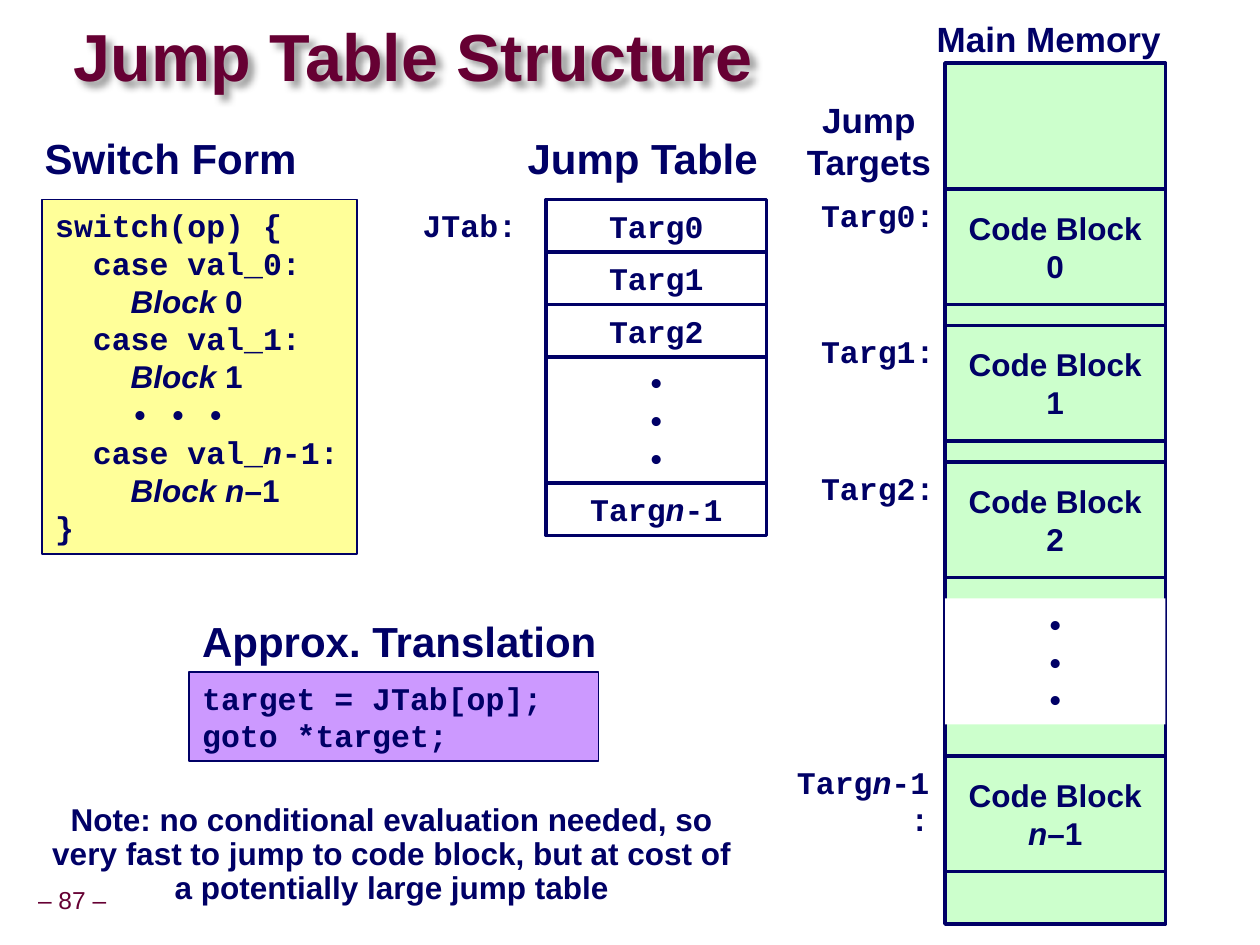
from dataclasses import dataclass

from lxml.etree import SubElement
from pptx import Presentation
from pptx.dml.color import RGBColor
from pptx.enum.shapes import MSO_SHAPE
from pptx.enum.text import MSO_ANCHOR, PP_ALIGN
from pptx.oxml.ns import qn
from pptx.util import Emu, Pt

PX = 9525
LEFT, MID, RIGHT = PP_ALIGN.LEFT, PP_ALIGN.CENTER, PP_ALIGN.RIGHT


@dataclass(frozen=True)
class Theme:
    """Colours, fonts and type sizes of the slide."""
    ink: str = "000066"
    wine: str = "660033"
    white: str = "FFFFFF"
    yellow: str = "FFFF99"
    violet: str = "CC99FF"
    green: str = "CCFFCC"
    shade: str = "000000"
    sans: str = "Arial"
    mono: str = "Courier New"
    title: int = 38
    head: int = 24
    label: int = 20
    body: int = 18
    small: int = 14


T = Theme()
DOTS = ["•"] * 3
LAST = [("Targ", ""), ("n", "i"), ("-1", "")]


def scale(*sizes):
    """Turn px lengths into EMU."""
    return [Emu(size * PX) for size in sizes]


def write(shape, lines, font=T.sans, size=T.body, color=T.ink, align=LEFT,
          bold=True, space=None, wrap=False, anchor=MSO_ANCHOR.TOP, inset=(10, 5)):
    """Fill a shape with lines, each a string or a list of (text, style) runs."""
    frame = shape.text_frame
    frame.word_wrap = wrap
    frame.vertical_anchor = anchor
    side, edge = scale(*inset)
    frame.margin_left = frame.margin_right = side
    frame.margin_top = frame.margin_bottom = edge
    for index, line in enumerate(lines):
        para = frame.paragraphs[0] if index == 0 else frame.add_paragraph()
        para.alignment = align
        if space:
            para.line_spacing = space
        for text, style in [(line, "")] if isinstance(line, str) else line:
            run = para.add_run()
            run.text = text
            run.font.name = T.sans if "s" in style else font
            run.font.size = Pt(size)
            run.font.bold = bold
            run.font.italic = "i" in style
            run.font.color.rgb = RGBColor.from_string(color)


def label(slide, box, lines, **look):
    """Add a text box and return it."""
    shape = slide.shapes.add_textbox(*scale(*box))
    write(shape, lines, **look)
    return shape


def block(slide, box, fill, lines=(), line=2, **look):
    """Add a filled rectangle with text."""
    shape = slide.shapes.add_shape(MSO_SHAPE.RECTANGLE, *scale(*box))
    shape.shadow.inherit = False
    shape.fill.solid()
    shape.fill.fore_color.rgb = RGBColor.from_string(fill)
    if line:
        shape.line.color.rgb = RGBColor.from_string(T.ink)
        shape.line.width = Pt(line)
    else:
        shape.line.fill.background()
    write(shape, lines, **look)


def cell(slide, box, fill, lines, **look):
    """Add a rectangle with its text in the centre."""
    block(slide, box, fill, lines, align=MID, anchor=MSO_ANCHOR.MIDDLE, **look)


def title(slide, box):
    """Add the title with a soft shadow."""
    shape = label(slide, box, ["Jump Table Structure"], size=T.title, color=T.wine,
                  space=0.87, wrap=True, anchor=MSO_ANCHOR.MIDDLE, inset=(0, 0))
    effect = SubElement(shape.element.spPr, qn("a:effectLst"))
    shade = SubElement(effect, qn("a:outerShdw"), blurRad="50800", dist="53882",
                       dir="2700000", algn="tl", rotWithShape="0")
    tint = SubElement(shade, qn("a:srgbClr"), val=T.shade)
    SubElement(tint, qn("a:alpha"), val="40000")


def code(slide, box, head, place, fill, lines):
    """Add a code panel with a heading placed relative to it."""
    x, y, w, h = box
    block(slide, box, fill, lines, line=1, font=T.mono, wrap=True)
    dx, dy, width = place
    label(slide, (x + dx, y + dy, width, 48), [head], size=T.head)


def table(slide, box):
    """Add the jump table with its heading and name."""
    x, y, w, h = box
    top = y
    for line in ["Targ0", "Targ1", "Targ2", DOTS, LAST]:
        tall = 96 if line is DOTS else h
        cell(slide, (x, top, w, tall), T.white, DOTS if line is DOTS else [line],
             font=T.mono)
        top += tall
    label(slide, (x - 104, y, 100, 38), ["JTab:"], font=T.mono)
    label(slide, (x - 24, y - 56, 204, 48), ["Jump Table"], size=T.head)


def memory(slide, box):
    """Add main memory with its code blocks and jump targets."""
    x, y, w, h = box
    block(slide, box, T.green)
    rows = [(96 + 104 * n, str(n), f"Targ{n}:", -112, 114) for n in range(3)]
    rows.append((528, [("n", "i"), ("–1", "")], LAST + [(":", "")], -136, 134))
    for dy, name, mark, dx, width in rows:
        cell(slide, (x, y + dy, w, 88), T.green, ["Code Block", name])
        label(slide, (x + dx, y + dy, width, 38), [mark], font=T.mono, align=RIGHT,
              wrap=True)
    cell(slide, (x, y + 408, w, 96), T.white, DOTS, line=0, font=T.mono)
    label(slide, (x - 118, y + 22, 120, 74), ["Jump", "Targets"], size=T.label,
          align=MID)
    label(slide, (x - 18, y - 40, 194, 42), ["Main Memory"], size=T.label, align=MID)


def notes(slide, box):
    """Add the closing remark and the page number."""
    x, y, w, h = box
    label(slide, box, ["Note: no conditional evaluation needed, so",
                       "very fast to jump to code block, but at cost of",
                       "a potentially large jump table"], align=MID, space=0.9)
    label(slide, (x - 3, y + 64, 68, 30), ["– 87 –"], size=T.small, color=T.wine,
          bold=False, align=MID, space=0.9, anchor=MSO_ANCHOR.MIDDLE, inset=(5, 5))


def main():
    """Build and save the slide."""
    deck = Presentation()
    deck.slide_width, deck.slide_height = scale(960, 720)
    slide = deck.slides.add_slide(deck.slide_layouts[6])
    title(slide, (56, 16, 678, 60))
    switch = ["switch(op) {"]
    for n in range(2):
        switch += [f"  case val_{n}:", [("    ", ""), ("Block", "si"), (f" {n}", "s")]]
    switch += ["    • • •", [("  case val_", ""), ("n", "i"), ("-1:", "")],
               [("    ", ""), ("Block n", "si"), ("–1", "s")], "}"]
    code(slide, (32, 152, 240, 270), "Switch Form", (-8, -56, 220), T.yellow, switch)
    code(slide, (144, 512, 312, 68), "Approx. Translation", (0, -48, 330), T.violet,
         ["target = JTab[op];", "goto *target;"])
    table(slide, (416, 152, 168, 40))
    memory(slide, (720, 48, 168, 656))
    notes(slide, (24, 608, 549, 88))
    deck.save("out.pptx")


if __name__ == "__main__":
    main()
